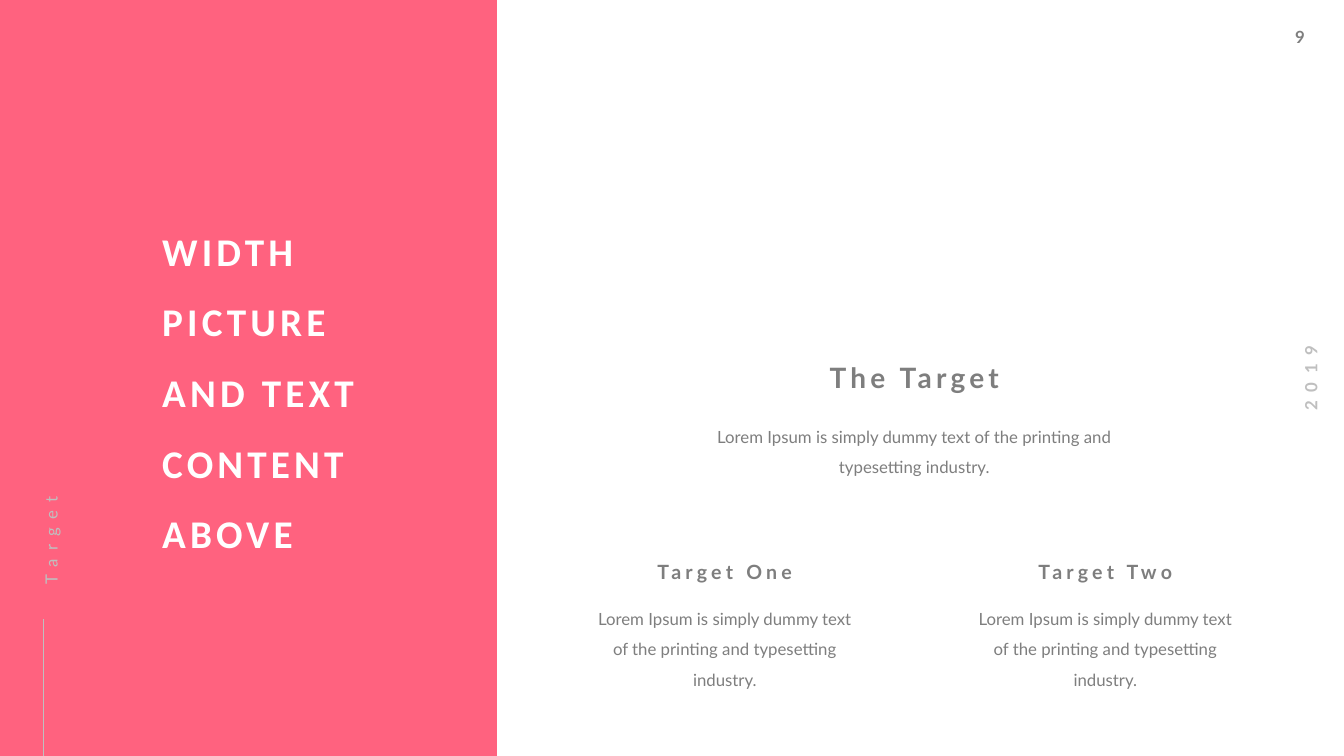
from dataclasses import dataclass, field

from lxml.etree import SubElement
from pptx import Presentation
from pptx.dml.color import RGBColor
from pptx.enum.shapes import MSO_CONNECTOR, MSO_SHAPE
from pptx.enum.text import MSO_AUTO_SIZE, PP_ALIGN
from pptx.oxml.ns import qn
from pptx.util import Inches, Pt

PINK = RGBColor(0xFF, 0x62, 0x7F)
GREY = RGBColor(0x7E, 0x7E, 0x7E)
PALE = RGBColor(0xBF, 0xBF, 0xBF)
WHITE = RGBColor(0xFF, 0xFF, 0xFF)

# The grid has 80 columns and 45 rows of square cells.
COLS, ROWS = 80, 45
CELL = Inches(1 / 6)
PANEL = 29.58
RULE_X, RULE_TOP = 2.58, 36.84
PAIR_X, PAIR_STEP = 35.58, 22.65
LOREM = "Lorem Ipsum is simply dummy text of the printing and typesetting industry."

# Margins, paragraph spacing and alignment shared by several labels.
FLUSH = {"margin_left": 0, "margin_top": 0, "margin_bottom": 0}
LEFT = {"space_before": Pt(12), "line_spacing": 1.5}
MID = {"alignment": PP_ALIGN.CENTER}
HEAD = MID | {"space_before": Pt(12)}
BODY = MID | LEFT


@dataclass
class Label:
    """Text in a box measured in grid cells."""
    text: str
    box: tuple[float, float, float, float]
    size: int = 12
    color: RGBColor = GREY
    bold: bool = True
    face: str = "Lato"
    track: int = 0
    turn: int = 0
    wrap: bool = True
    frame: dict = field(default_factory=dict)
    para: dict = field(default_factory=dict)


def cells(*counts: float) -> list[int]:
    """Turn counts of cells into lengths."""
    return [round(count * CELL) for count in counts]


def style(target: object, values: dict) -> None:
    """Set each format value on the target."""
    for name, value in values.items():
        setattr(target, name, value)


def write(slide: object, label: Label) -> None:
    """Draw one label."""
    box = slide.shapes.add_textbox(*cells(*label.box))
    box.rotation = label.turn
    frame = box.text_frame
    frame.text = label.text
    style(frame, {"word_wrap": label.wrap,
                  "auto_size": MSO_AUTO_SIZE.SHAPE_TO_FIT_TEXT} | label.frame)
    for para in frame.paragraphs:
        style(para, label.para)
        for run in para.runs:
            style(run.font, {"name": label.face, "size": Pt(label.size),
                             "bold": label.bold})
            run.font.color.rgb = label.color
            if label.track:
                run._r.get_or_add_rPr().set("spc", str(label.track * 100))


def panel(slide: object) -> None:
    """Draw the pink side panel and its thin rule."""
    side = slide.shapes.add_shape(MSO_SHAPE.RECTANGLE, *cells(0, 0, PANEL, ROWS))
    side.shadow.inherit = False
    side.fill.solid()
    side.fill.fore_color.rgb = PINK
    side.line.fill.background()
    rule = slide.shapes.add_connector(
        MSO_CONNECTOR.STRAIGHT, *cells(RULE_X, ROWS, RULE_X, RULE_TOP))
    rule.line.color.rgb = PALE
    rule.line.width = Pt(0.5)
    SubElement(rule._element.spPr, qn("a:effectLst"))


def pair(order: int, title: str) -> list[Label]:
    """Give the heading and text of one target."""
    left = PAIR_X + order * PAIR_STEP
    return [
        Label(LOREM, (left, 35.64, 15.72, 5.22), bold=False, frame=FLUSH, para=BODY),
        Label(title, (left + 0.81, 33.3, 14.1, 1.44), 14, track=3,
              frame=FLUSH, para=HEAD),
    ]


LABELS = [
    Label("9", (76.5, 1.32, 2.46, 1.8), wrap=False),
    Label("2019", (75.24, 21.6, 5.58, 1.8), color=PALE, track=6, turn=270,
          wrap=False, para=MID),
    Label("Target", (-2.94, 28.44, 11.1, 1.56), color=PALE, bold=False,
          track=6, turn=270, frame=FLUSH, para=LEFT),
    Label(LOREM, (40.86, 24.78, 27.72, 3.42), bold=False, frame=FLUSH, para=BODY),
    Label("The Target", (44.22, 21.48, 21, 2.04), 20, track=3,
          frame=FLUSH, para=HEAD),
    *pair(0, "Target One"),
    *pair(1, "Target Two"),
    Label("WIDTH PICTURE AND TEXT CONTENT ABOVE", (9.66, 12.12, 16.44, 20.82),
          28, WHITE, face="Calibri", track=3, frame=FLUSH, para=LEFT),
]

deck = Presentation()
deck.slide_width, deck.slide_height = cells(COLS, ROWS)
page = deck.slides.add_slide(deck.slide_layouts[6])
panel(page)
for item in LABELS:
    write(page, item)
deck.save("out.pptx")
